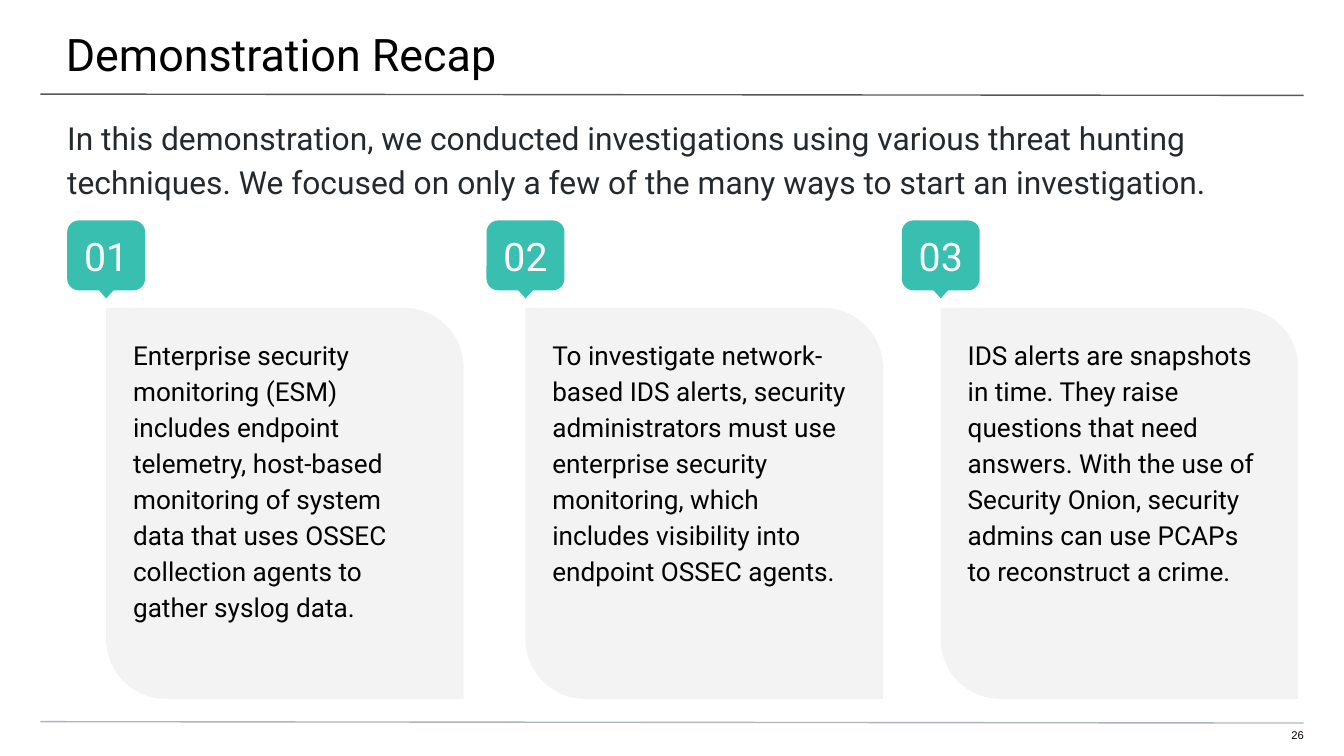
from dataclasses import dataclass

from lxml import etree
from pptx import Presentation
from pptx import util as u
from pptx.dml.color import RGBColor
from pptx.enum import shapes, text
from pptx.oxml.ns import qn


@dataclass(frozen=True)
class Theme:
    """Colours, fonts and type sizes of the slide."""
    ink: str = "000000"
    intro_ink: str = "24292E"
    white: str = "FFFFFF"
    accent: str = "38BFB0"
    card: str = "F3F3F3"
    title_rule: str = "595959"
    footer_rule: str = "A9B7C0"
    font: str = "Roboto"
    footer_font: str = "Arial"
    title_size: float = 24
    intro_size: float = 17
    badge_size: float = 21
    body_size: float = 14
    footer_size: float = 6


THEME = Theme()
CARD_TOP, CARD_WIDTH, CARD_HEIGHT = 2.29, 2.66, 2.91
BADGE_WIDTH, POINTER_WIDTH = 0.58, 0.29
CARDS = [
    (0.79, 2.59, "Enterprise security monitoring (ESM) includes endpoint telemetry, "
     "host-based monitoring of system data that uses OSSEC collection agents to "
     "gather syslog data."),
    (3.91, 2.66, "To investigate network-based IDS alerts, security administrators must "
     "use enterprise security monitoring, which includes visibility into endpoint "
     "OSSEC agents."),
    (7.0, 2.59, "IDS alerts are snapshots in time. They raise questions that need "
     "answers. With the use of Security Onion, security admins can use PCAPs to "
     "reconstruct a crime."),
]


def apply(target, values):
    """Set each named attribute on the target."""
    for name, value in values.items():
        setattr(target, name, value)


def write(box, words, size, color, insets, font=THEME.font, frame_format=None, **para_format):
    """Fill a shape's text frame with one formatted paragraph."""
    frame = box.text_frame
    sides = ("margin_left", "margin_top", "margin_right", "margin_bottom")
    apply(frame, dict(zip(sides, map(u.Inches, insets))))
    apply(frame, {"word_wrap": True, "vertical_anchor": text.MSO_ANCHOR.TOP,
                  **(frame_format or {})})
    para = frame.paragraphs[0]
    apply(para, {"alignment": text.PP_ALIGN.LEFT, **para_format})
    span = para.add_run()
    span.text = words
    apply(span.font, {"name": font, "size": u.Pt(size)})
    span.font.color.rgb = RGBColor.from_string(color)


def add_text(page, place, *args, **formats):
    """Add a text box at the given place."""
    write(page.shapes.add_textbox(*map(u.Inches, place)), *args, **formats)


def add_rule(page, top, color):
    """Draw a thin, very slightly sloping rule across the page."""
    rule = page.shapes.add_connector(
        shapes.MSO_CONNECTOR.STRAIGHT, *map(u.Inches, (0.3, top, 9.7, top + 0.01)))
    rule.line.width = u.Pt(0.75)
    rule.line.color.rgb = RGBColor.from_string(color)
    etree.SubElement(rule.element.spPr, qn("a:effectLst"))


def add_block(parent, kind, place, color, adjustments=()):
    """Add a flat filled shape without outline."""
    block = parent.shapes.add_shape(kind, *map(u.Inches, place))
    block.shadow.inherit = False
    block.fill.solid()
    block.fill.fore_color.rgb = RGBColor.from_string(color)
    block.line.fill.background()
    for index, value in enumerate(adjustments):
        block.adjustments[index] = value
    return block


def add_badge(page, center, number):
    """Add a numbered badge with a pointer below it."""
    group = page.shapes.add_group_shape()
    badge = add_block(group, shapes.MSO_SHAPE.ROUNDED_RECTANGLE,
                      (center - BADGE_WIDTH / 2, 1.64, BADGE_WIDTH, 0.52),
                      THEME.accent, [0.167])
    write(badge, f"{number:02d}", THEME.badge_size, THEME.white, [0.1] * 4,
          frame_format={"vertical_anchor": text.MSO_ANCHOR.MIDDLE},
          alignment=text.PP_ALIGN.CENTER)
    pointer = add_block(group, shapes.MSO_SHAPE.FLOWCHART_EXTRACT,
                        (center - POINTER_WIDTH / 2, 2.06, POINTER_WIDTH, 0.16), THEME.accent)
    pointer.rotation = 180


def add_card(page, number, left, text_width, words):
    """Add a badge, its card and the card's text."""
    add_badge(page, left, number)
    add_block(page, shapes.MSO_SHAPE.ROUND_2_DIAG_RECTANGLE,
              (left, CARD_TOP, CARD_WIDTH, CARD_HEIGHT), THEME.card, [0, 0.167])
    add_text(page, (left, CARD_TOP, text_width, CARD_HEIGHT), words,
             THEME.body_size, THEME.ink, [0.2] * 4, line_spacing=1.15)


def main():
    """Build the recap slide and save it."""
    deck = Presentation()
    width = u.Inches(10)
    apply(deck, {"slide_width": width, "slide_height": width * 9 // 16})
    page = deck.slides.add_slide(deck.slide_layouts[6])
    add_rule(page, 0.7, THEME.title_rule)
    add_rule(page, 5.37, THEME.footer_rule)
    add_text(page, (-0.01, 0, 10.03, 0.58), "Demonstration Recap",
             THEME.title_size, THEME.ink, (0.5, 0.2, 0.3, 0.1))
    add_text(page, (0, 0.74, 10, 0.4),
             "In this demonstration, we conducted investigations using various threat "
             "hunting techniques. We focused on only a few of the many ways to start an "
             "investigation.", THEME.intro_size, THEME.intro_ink, (0.5, 0.1, 0.5, 0),
             line_spacing=1.15, space_after=u.Pt(12))
    for number, card in enumerate(CARDS, 1):
        add_card(page, number, *card)
    add_text(page, (9.41, 5.42, 0.29, 0.12), "26", THEME.footer_size, THEME.ink,
             (0, 0, 0, 0.1), font=THEME.footer_font, alignment=text.PP_ALIGN.RIGHT)
    deck.save("out.pptx")


if __name__ == "__main__":
    main()
